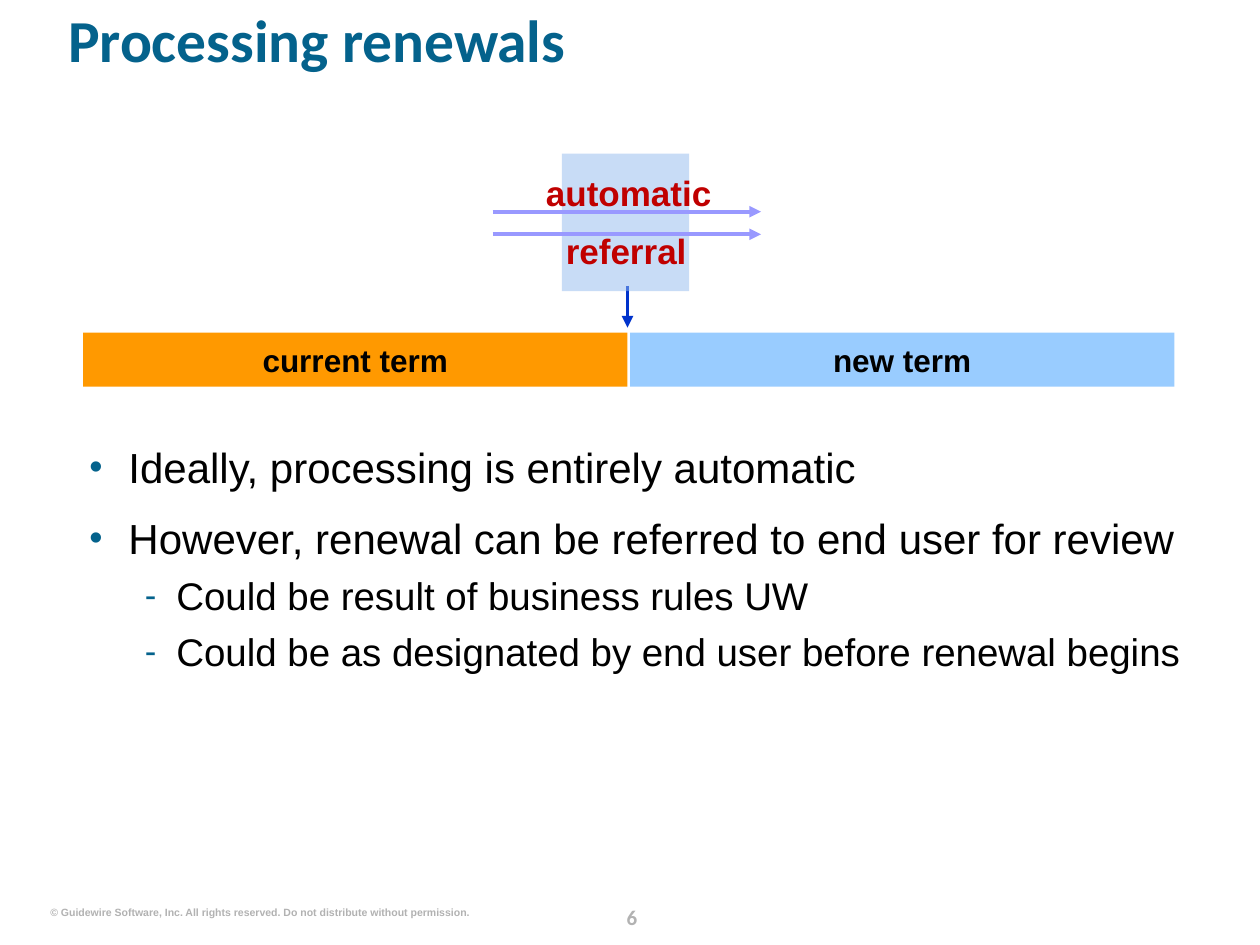
from dataclasses import dataclass

from lxml import etree
from pptx import Presentation
from pptx.dml.color import RGBColor
from pptx.enum.shapes import MSO_CONNECTOR, MSO_SHAPE
from pptx.enum.text import MSO_ANCHOR, MSO_AUTO_SIZE, PP_ALIGN
from pptx.oxml.ns import qn
from pptx.util import Inches, Pt

LEFT, CENTER = PP_ALIGN.LEFT, PP_ALIGN.CENTER
TOP, MIDDLE = MSO_ANCHOR.TOP, MSO_ANCHOR.MIDDLE
NO_AUTOFIT = MSO_AUTO_SIZE.NONE
RECTANGLE = MSO_SHAPE.RECTANGLE
STRAIGHT = MSO_CONNECTOR.STRAIGHT


@dataclass(frozen=True)
class Theme:
    heading_font: str = "Calibri"
    body_font: str = "Arial"
    accent: str = "04628C"
    text: str = "000000"
    emphasis: str = "C00000"
    muted: str = "B2B2B2"
    current_term: str = "FF9900"
    new_term: str = "99CCFF"
    process: str = "93BAEF"
    path_arrow: str = "9999FF"
    start_arrow: str = "0033CC"
    title_size: int = 34
    bullet_sizes: tuple = (24, 22)
    path_size: int = 20
    term_size: int = 18
    page_size: int = 12
    copyright_size: int = 6


THEME = Theme()

# Per bullet level: character, left margin, hanging indent, space before
BULLET_LEVELS = (("•", 0.31, 0.31, 12), ("-", 0.69, 0.25, 5.5))
BULLETS = (
    (0, "Ideally, processing is entirely automatic"),
    (0, "However, renewal can be referred to end user for review"),
    (1, "Could be result of business rules UW"),
    (1, "Could be as designated by end user before renewal begins"),
)


def place(shape, left, top, width, height):
    shape.left, shape.top = Inches(left), Inches(top)
    shape.width, shape.height = Inches(width), Inches(height)


def prepare_frame(frame, anchor=TOP, wrap=True):
    frame.margin_left = frame.margin_right = 0
    frame.margin_top = frame.margin_bottom = 0
    frame.auto_size = NO_AUTOFIT
    frame.vertical_anchor = anchor
    frame.word_wrap = wrap


def write(paragraph, text, *, size, color=THEME.text, font=THEME.body_font,
          bold=False, align=LEFT, spacing=1.0, before=0):
    paragraph.alignment = align
    paragraph.line_spacing = spacing
    paragraph.space_before = Pt(before)
    run = paragraph.add_run()
    run.text = text
    run.font.name = font
    run.font.size = Pt(size)
    run.font.bold = bold
    run.font.color.rgb = RGBColor.from_string(color)


def add_label(slide, box, text, wrap=True, **text_format):
    label = slide.shapes.add_textbox(*map(Inches, box))
    prepare_frame(label.text_frame, wrap=wrap)
    write(label.text_frame.paragraphs[0], text, **text_format)


def add_block(slide, box, color, opacity=100):
    block = slide.shapes.add_shape(RECTANGLE, *map(Inches, box))
    block.shadow.inherit = False
    block.line.fill.background()
    block.fill.solid()
    block.fill.fore_color.rgb = RGBColor.from_string(color)
    if opacity < 100:
        tint = block._element.spPr.find(f"{qn('a:solidFill')}/{qn('a:srgbClr')}")
        etree.SubElement(tint, qn("a:alpha"), val=str(opacity * 1000))
    return block


def add_term(slide, left, text, color):
    term = add_block(slide, (left, 2.64, 4.32, 0.43), color)
    prepare_frame(term.text_frame, anchor=MIDDLE)
    write(term.text_frame.paragraphs[0], text, size=THEME.term_size,
          bold=True, align=CENTER)


def add_arrow(slide, start, end, color):
    arrow = slide.shapes.add_connector(STRAIGHT, *map(Inches, start + end))
    arrow.line.color.rgb = RGBColor.from_string(color)
    arrow.line.width = Pt(2.25)
    etree.SubElement(arrow.line._get_or_add_ln(), qn("a:tailEnd"), type="triangle")
    etree.SubElement(arrow._element.spPr, qn("a:effectLst"))


def set_bullet(paragraph, character, margin, hanging):
    properties = paragraph._p.get_or_add_pPr()
    properties.set("marL", str(Inches(margin)))
    properties.set("indent", str(-Inches(hanging)))
    bullet_color = etree.SubElement(properties, qn("a:buClr"))
    etree.SubElement(bullet_color, qn("a:srgbClr"), val=THEME.accent)
    etree.SubElement(properties, qn("a:buSzPct"), val="90000")
    etree.SubElement(properties, qn("a:buFont"), typeface=THEME.body_font)
    etree.SubElement(properties, qn("a:buChar"), char=character)


def fill_title(title):
    place(title, 0.54, 0.13, 9.1, 0.81)
    prepare_frame(title.text_frame)
    write(title.text_frame.paragraphs[0], "Processing renewals",
          size=THEME.title_size, color=THEME.accent, font=THEME.heading_font,
          bold=True, spacing=0.8)


def fill_bullets(body):
    place(body, 0.71, 3.5, 8.97, 1.85)
    frame = body.text_frame
    prepare_frame(frame)
    for index, (level, text) in enumerate(BULLETS):
        paragraph = frame.add_paragraph() if index else frame.paragraphs[0]
        character, margin, hanging, before = BULLET_LEVELS[level]
        paragraph.level = level
        set_bullet(paragraph, character, margin, hanging)
        write(paragraph, text, size=THEME.bullet_sizes[level],
              before=before if index else 0)


def add_renewal_diagram(slide):
    add_arrow(slide, (4.98, 2.27), (4.98, 2.6), THEME.start_arrow)
    add_term(slide, 0.66, "current term", THEME.current_term)
    add_term(slide, 5, "new term", THEME.new_term)
    add_block(slide, (4.46, 1.22, 1.01, 1.09), THEME.process, opacity=50)
    for arrow_y, box, text in (
        (1.68, (4.33, 1.36, 1.32, 0.33), "automatic"),
        (1.86, (4.47, 1.82, 1, 0.33), "referral"),
    ):
        add_arrow(slide, (3.91, arrow_y), (6.04, arrow_y), THEME.path_arrow)
        add_label(slide, box, text, size=THEME.path_size,
                  color=THEME.emphasis, bold=True, align=CENTER)


def add_footer(slide):
    add_label(slide, (4.73, 7.13, 0.57, 0.25), "6", size=THEME.page_size,
              color=THEME.muted, font=THEME.heading_font, bold=True,
              align=CENTER, spacing=Pt(18))
    add_label(slide, (0.4, 7.19, 3.33, 0.1),
              "© Guidewire Software, Inc. All rights reserved. "
              "Do not distribute without permission.",
              wrap=False, size=THEME.copyright_size, color=THEME.muted, bold=True)


def main():
    deck = Presentation()
    deck.slide_width, deck.slide_height = Inches(10), Inches(7.5)
    slide = deck.slides.add_slide(deck.slide_layouts[1])
    fill_title(slide.shapes.title)
    fill_bullets(slide.placeholders[1])
    add_renewal_diagram(slide)
    add_footer(slide)
    deck.save("out.pptx")


if __name__ == "__main__":
    main()
